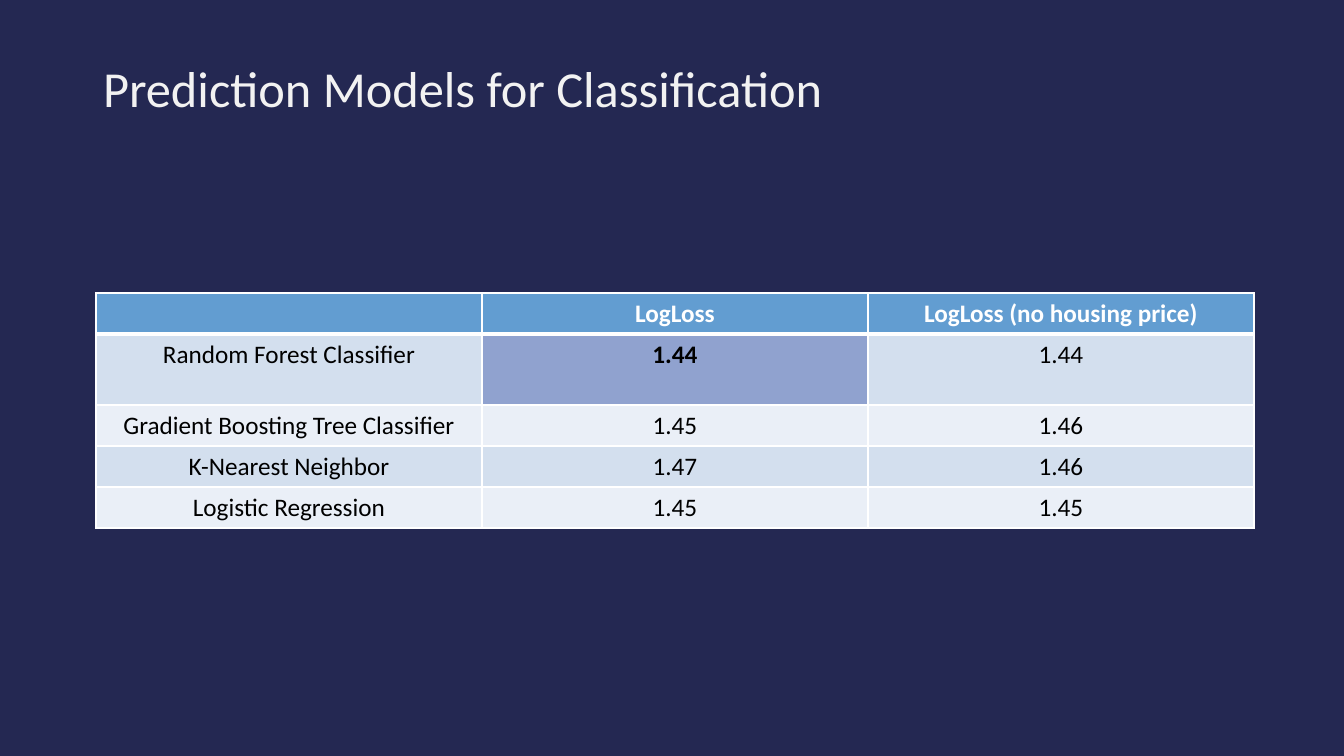
from lxml.etree import SubElement
from pptx import Presentation
from pptx.dml.color import RGBColor
from pptx.enum.text import MSO_ANCHOR as Anchor, PP_ALIGN as Align
from pptx.oxml.ns import qn
from pptx.util import Pt

SLIDE_W, SLIDE_H = 1344, 756
EMU_PER_PX = 12192000 / SLIDE_W
TITLE_ONLY = 5


def px(length):
    return round(length * EMU_PER_PX)


def color(hex_value):
    return RGBColor.from_string(hex_value)


class Deck:
    font = "Calibri"
    background, title_ink = "242852", "F2F2F2"
    header_fill, header_ink = "629DD1", "FFFFFF"
    band_fills, body_ink = ("D3DFEE", "EAEFF7"), "000000"
    best_fill, grid = "90A2CF", "FFFFFF"

    def __init__(self):
        self.prs = Presentation()
        self.prs.slide_width, self.prs.slide_height = px(SLIDE_W), px(SLIDE_H)
        self.slide = self.prs.slides.add_slide(self.prs.slide_layouts[TITLE_ONLY])
        fill = self.slide.background.fill
        fill.solid()
        fill.fore_color.rgb = color(self.background)

    def add_text(self, paragraph, text, size, ink, bold=False):
        run = paragraph.add_run()
        run.text = text
        run.font.name, run.font.size, run.font.bold = self.font, Pt(size), bold
        run.font.color.rgb = color(ink)

    def title(self, text, left, top, width, height):
        title = self.slide.shapes.title
        title.left, title.top = px(left), px(top)
        title.width, title.height = px(width), px(height)
        frame = title.text_frame
        frame.word_wrap, frame.vertical_anchor = True, Anchor.MIDDLE
        heading = frame.paragraphs[0]
        heading.alignment, heading.line_spacing = Align.LEFT, 0.9
        self.add_text(heading, text, 36, self.title_ink)

    def borders(self, cell, top=1, bottom=1):
        props = cell._tc.get_or_add_tcPr()
        for side, points in (("L", 1), ("R", 1), ("T", top), ("B", bottom)):
            line = SubElement(props, qn(f"a:ln{side}"), w=str(Pt(points)))
            solid = SubElement(line, qn("a:solidFill"))
            SubElement(solid, qn("a:srgbClr"), val=self.grid)

    def cell(self, cell, text, fill, ink, bold):
        cell.fill.solid()
        cell.fill.fore_color.rgb = color(fill)
        paragraph = cell.text_frame.paragraphs[0]
        paragraph.alignment = Align.CENTER
        if text:
            self.add_text(paragraph, text, 18, ink, bold)

    def table(self, rows, best, left, top, col_width, row_heights):
        cols = len(rows[0])
        table = self.slide.shapes.add_table(
            len(rows), cols, px(left), px(top),
            px(col_width * cols), px(sum(row_heights))).table
        for column in table.columns:
            column.width = px(col_width)
        for r, (row, height) in enumerate(zip(rows, row_heights)):
            table.rows[r].height = px(height)
            for c, text in enumerate(row):
                cell = table.cell(r, c)
                # The rule under the header is heavier than the grid
                self.borders(cell, top=3 if r == 1 else 1, bottom=3 if r == 0 else 1)
                if r == 0:
                    self.cell(cell, text, self.header_fill, self.header_ink, True)
                else:
                    is_best = (r, c) == best
                    fill = self.best_fill if is_best else self.band_fills[(r - 1) % 2]
                    self.cell(cell, text, fill, self.body_ink, is_best)


def main():
    deck = Deck()

    # Heading
    deck.title("Prediction Models for Classification", 93, 18, 1159, 146)

    # Model scores, with the best one highlighted
    scores = [
        ("", "LogLoss", "LogLoss (no housing price)"),
        ("Random Forest Classifier", "1.44", "1.44"),
        ("Gradient Boosting Tree Classifier", "1.45", "1.46"),
        ("K-Nearest Neighbor", "1.47", "1.46"),
        ("Logistic Regression", "1.45", "1.45"),
    ]
    deck.table(scores, best=(1, 1), left=96, top=293, col_width=386,
               row_heights=[41, 71, 41, 41, 41])

    deck.prs.save("out.pptx")


if __name__ == "__main__":
    main()
